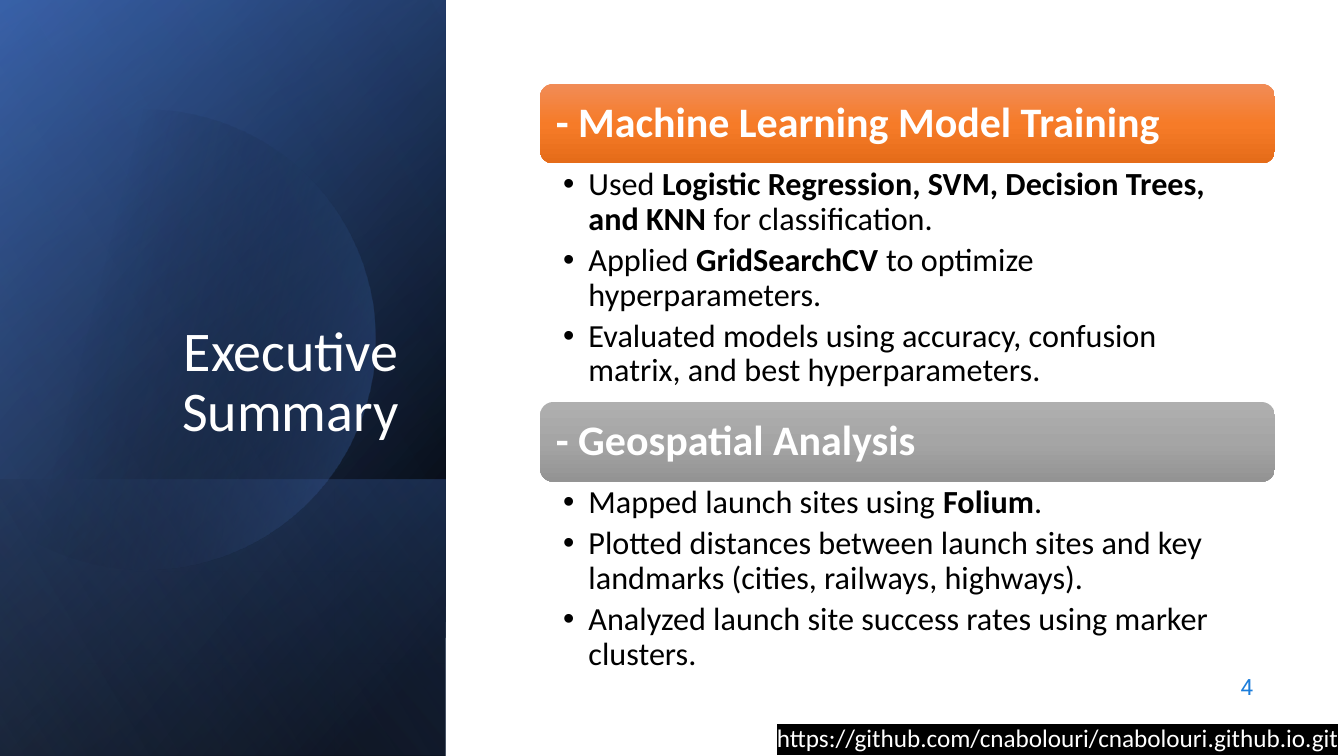
from math import acos, cos, sin

from lxml.etree import SubElement
from pptx import Presentation
from pptx.dml.color import RGBColor
from pptx.enum.shapes import MSO_SHAPE
from pptx.enum.text import MSO_ANCHOR, MSO_AUTO_SIZE, PP_ALIGN
from pptx.oxml.ns import qn
from pptx.util import Cm, Pt

THEME = {
    "font": "Calibri", "number_font": "Roboto",
    "light": "FFFFFF", "dark": "000000", "accent": "1C7DDB",
    "title": 40, "heading": 30, "body": 23, "link": 18, "number": 16,
    # Gradient stops: position %, colour, opacity %
    "base": [(8, "000000", 100), (100, "2F5597", 100)],
    "glow": [(0, "000000", 0), (99, "4472C4", 46)],
    "band": [(2, "4472C4", 29), (100, "000000", 30)],
    "disc": [(29, "000000", 0), (100, "4472C4", 43)],
    "sheen": [(0, "000000", 0), (99, "8FAADC", 11)],
    "orange": [(0, "F18C57", 100), (50, "F67B28", 100), (100, "E56C19", 100)],
    "gray": [(0, "AFAFAF", 100), (50, "A5A5A5", 100), (100, "939393", 100)],
}

# Every second piece of a bullet is bold
SECTIONS = [
    ("- Machine Learning Model Training", "orange", 8.02, [
        ["Used ", "Logistic Regression, SVM, Decision Trees, and KNN",
         " for classification."],
        ["Applied ", "GridSearchCV", " to optimize hyperparameters."],
        ["Evaluated models using accuracy, confusion matrix, "
         "and best hyperparameters."],
    ]),
    ("- Geospatial Analysis", "gray", 7.09, [
        ["Mapped launch sites using ", "Folium", "."],
        ["Plotted distances between launch sites and key landmarks "
         "(cities, railways, highways)."],
        ["Analyzed launch site success rates using marker clusters."],
    ]),
]


def assign(obj, values):
    for name, value in values.items():
        setattr(obj, name, value)


def place(sp, x, y, w, h):
    """Position a shape, in centimetres, and bring it to the front."""
    assign(sp, {"left": Cm(x), "top": Cm(y), "width": Cm(w), "height": Cm(h)})
    sp._element.getparent().append(sp._element)


def set_frame(tf, anchor, insets):
    """Set anchor and left, top, right, bottom insets in centimetres."""
    sides = ("margin_left", "margin_top", "margin_right", "margin_bottom")
    assign(tf, {"word_wrap": True, "auto_size": MSO_AUTO_SIZE.NONE,
                "vertical_anchor": anchor})
    assign(tf, {side: Cm(v) for side, v in zip(sides, insets)})


def add_run(p, text, size, color, font="font", bold=False):
    r = p.add_run()
    r.text = text
    assign(r.font, {"name": THEME[font], "size": Pt(THEME[size]), "bold": bold})
    r.font.color.rgb = RGBColor.from_string(THEME[color])
    return r


def set_gradient(sp, stops, angle):
    """Fill with a linear gradient, angle clockwise, without line or shadow."""
    sp.shadow.inherit = False
    sp.line.fill.background()
    sp.fill.gradient()
    grad = sp._element.spPr.find(qn("a:gradFill"))
    grad.set("rotWithShape", "1")
    grad.find(qn("a:lin")).set("ang", str(angle * 60000))
    gs_list = grad.find(qn("a:gsLst"))
    for gs in list(gs_list):
        gs_list.remove(gs)
    for position, color, opacity in THEME[stops]:
        gs = SubElement(gs_list, qn("a:gs"), pos=str(position * 1000))
        clr = SubElement(gs, qn("a:srgbClr"), val=color)
        if opacity < 100:
            SubElement(clr, qn("a:alpha"), val=str(opacity * 1000))


def add_turned_rect(s, x, y, w, h, stops, angle):
    """Cover a box with a rectangle turned by 90 degrees and flipped."""
    sp = s.shapes.add_shape(MSO_SHAPE.RECTANGLE, Cm(x + (w - h) / 2),
                            Cm(y + (h - w) / 2), Cm(h), Cm(w))
    sp.rotation = 90
    sp._element.spPr.find(qn("a:xfrm")).set("flipH", "1")
    set_gradient(sp, stops, angle)


def add_cut_disc(s, edge, cx, cy, radius):
    """Draw a disc cut off by a vertical edge on its left."""
    steps = 120
    limit = acos((edge - cx) / radius)
    angles = [limit * (2 * i / steps - 1) for i in range(steps + 1)]
    points = [(Cm(cx + radius * cos(a)), Cm(cy + radius * sin(a)))
              for a in angles]
    builder = s.shapes.build_freeform(*points[0])
    builder.add_line_segments(points[1:], close=True)
    set_gradient(builder.convert_to_shape(), "disc", 14)


def add_title_panel(s, x, y, w, h):
    add_turned_rect(s, x, y, w, h, "base", 50)
    add_turned_rect(s, x, y, w, h, "glow", 30)
    band = 6.96
    add_turned_rect(s, x, y + h - band, w, band, "band", 130)
    add_cut_disc(s, x, x + 3.66, y + 8.56, 5.8)
    add_turned_rect(s, x, y, w, h, "sheen", 120)

    title = s.shapes.title
    place(title, x + 1.63, y + 4.67, 8.66, 6.65)
    set_frame(title.text_frame, MSO_ANCHOR.BOTTOM, (0.25, 0.13, 0.25, 0.13))
    p = title.text_frame.paragraphs[0]
    assign(p, {"alignment": PP_ALIGN.RIGHT, "line_spacing": 0.9})
    add_run(p, "Executive Summary", "title", "light")


def add_bullet(p, pieces):
    pPr = p._p.get_or_add_pPr()
    pPr.set("marL", str(Cm(0.64)))
    pPr.set("indent", str(-Cm(0.64)))
    SubElement(pPr, qn("a:buChar"), char="•")
    assign(p, {"line_spacing": 0.9, "space_before": Pt(0),
               "space_after": Pt(4.6)})
    for i, text in enumerate(pieces):
        add_run(p, text, "body", "dark", bold=i % 2 == 1)


def add_section(s, body, x, y, w, h, heading, stops, bullets):
    """Put a heading bar on top of the box and a bullet list below it."""
    bar_h = 2.01
    bar = s.shapes.add_shape(MSO_SHAPE.ROUNDED_RECTANGLE,
                             Cm(x), Cm(y), Cm(w), Cm(bar_h))
    set_gradient(bar, stops, 90)
    set_frame(bar.text_frame, MSO_ANCHOR.MIDDLE, (0.3,) * 4)
    p = bar.text_frame.paragraphs[0]
    assign(p, {"alignment": PP_ALIGN.LEFT, "line_spacing": 0.9})
    add_run(p, heading, "heading", "light", bold=True)

    place(body, x, y + bar_h, w, h - bar_h)
    tf = body.text_frame
    set_frame(tf, MSO_ANCHOR.TOP, (0.58, 0.1, 0.58, 0.1))
    for i, pieces in enumerate(bullets):
        add_bullet(tf.add_paragraph() if i else tf.paragraphs[0], pieces)


def add_footer(s, x, y, w, h):
    """Put the page number above the highlighted repository address."""
    number = s.shapes.add_textbox(Cm(x + 4.88), Cm(y), Cm(7.62), Cm(1.12))
    set_frame(number.text_frame, MSO_ANCHOR.MIDDLE, (0.25, 0.13, 0.25, 0.13))
    p = number.text_frame.paragraphs[0]
    p.alignment = PP_ALIGN.RIGHT
    add_run(p, "4", "number", "accent", "number_font")

    link = s.shapes.add_textbox(Cm(x), Cm(y + h - 0.97), Cm(w), Cm(0.97))
    set_frame(link.text_frame, MSO_ANCHOR.TOP, (0.25, 0.13, 0, 0))
    r = add_run(link.text_frame.paragraphs[0],
                "https://github.com/cnabolouri/cnabolouri.github.io.git",
                "link", "light")
    highlight = SubElement(r.font._element, qn("a:highlight"))
    SubElement(highlight, qn("a:srgbClr"), val=THEME["dark"])
    r.font._element.find(qn("a:solidFill")).addnext(highlight)


def main():
    prs = Presentation()
    assign(prs, {"slide_width": Cm(33.87), "slide_height": Cm(19.05)})
    s = prs.slides.add_slide(prs.slide_layouts.get_by_name("Two Content"))
    add_title_panel(s, 0, 0, 11.23, 19.05)
    bodies = [s.placeholders[1], s.placeholders[2]]
    y = 2.11
    for body, (heading, stops, h, bullets) in zip(bodies, SECTIONS):
        add_section(s, body, 13.61, y, 18.52, h, heading, stops, bullets)
        y += h
    add_footer(s, 19.33, 16.74, 14.54, 2.31)
    prs.save("out.pptx")


if __name__ == "__main__":
    main()
